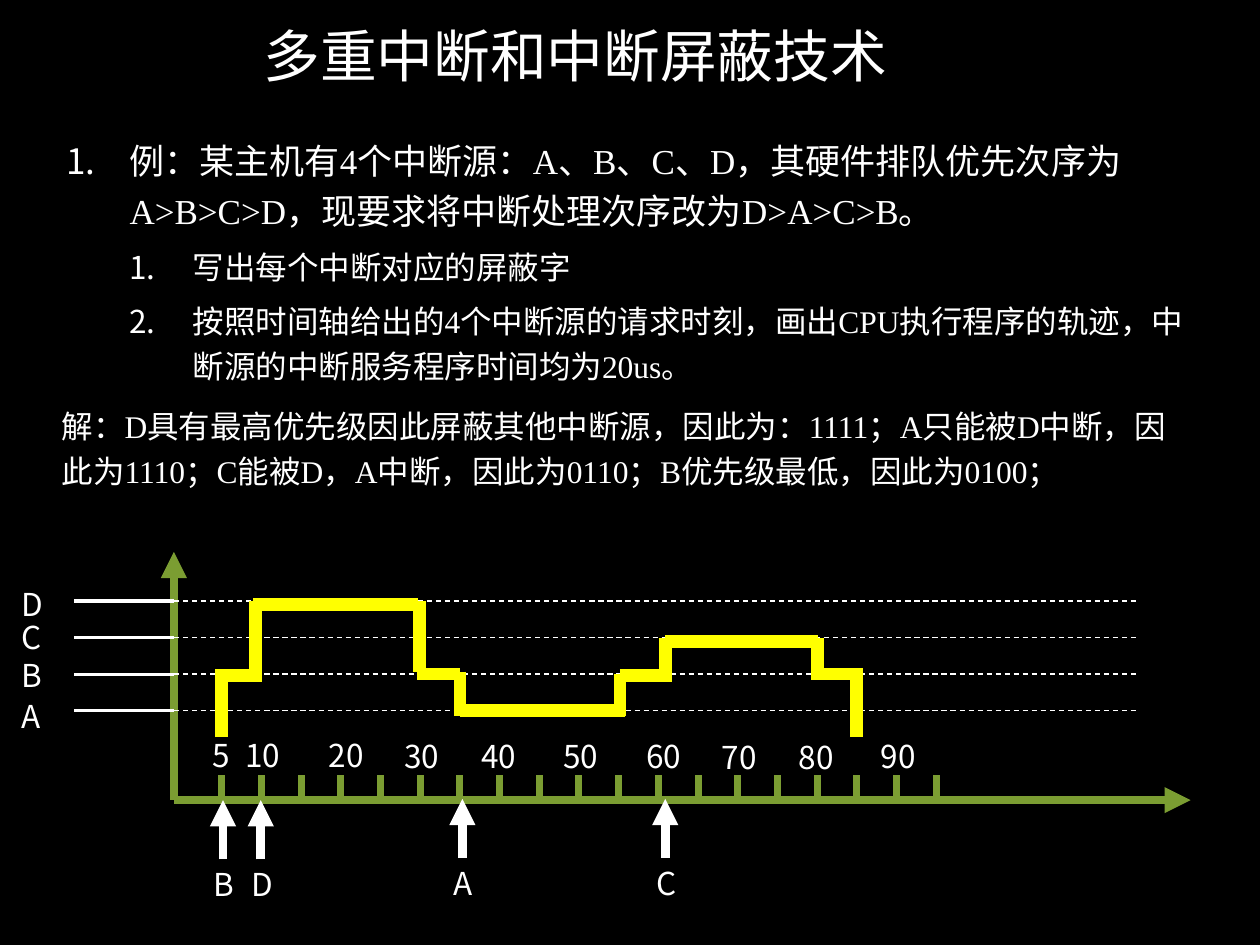
from typing import NamedTuple

from lxml import etree
from pptx import Presentation
from pptx.dml.color import RGBColor
from pptx.enum.dml import MSO_LINE
from pptx.enum.shapes import MSO_CONNECTOR
from pptx.enum.text import MSO_ANCHOR, MSO_AUTO_SIZE, PP_ALIGN
from pptx.oxml.ns import qn
from pptx.util import Inches, Pt

BLACK = RGBColor(0x00, 0x00, 0x00)
WHITE = RGBColor(0xFF, 0xFF, 0xFF)
GREEN = RGBColor(0x7B, 0x9D, 0x32)
YELLOW = RGBColor(0xFF, 0xFF, 0x00)
SANS = "Noto Sans CJK SC"
SERIF = "Times New Roman"
STRAIGHT = MSO_CONNECTOR.STRAIGHT
DASH = MSO_LINE.DASH
CENTER = PP_ALIGN.CENTER
MIDDLE = MSO_ANCHOR.MIDDLE
FIXED = MSO_AUTO_SIZE.NONE
GROW = MSO_AUTO_SIZE.SHAPE_TO_FIT_TEXT

ORIGIN_X, ORIGIN_Y = 1.38, 6.35
TICK_START, TICK_GAP, TICK_COUNT = 1.76, 0.315, 19


class Label(NamedTuple):
    text: str
    left: float
    top: float
    width: float = 0.49


class Request(NamedTuple):
    source: str
    x: float
    tip: float


class Level(NamedTuple):
    source: str
    y: float
    label_top: float


class Segment(NamedTuple):
    x1: float
    y1: float
    x2: float
    y2: float


class Item(NamedTuple):
    text: str
    level: int
    size: int
    before: int


TIMES = [
    Label("5", 1.59, 5.79, 0.43), Label("10", 1.85, 5.79), Label("20", 2.51, 5.79),
    Label("30", 3.11, 5.8), Label("40", 3.72, 5.8), Label("50", 4.37, 5.8),
    Label("60", 5.03, 5.8), Label("70", 5.63, 5.81), Label("80", 6.24, 5.81),
    Label("90", 6.89, 5.8),
]
REQUESTS = [
    Request("B", 1.77, 6.35), Request("D", 2.07, 6.35),
    Request("A", 3.67, 6.34), Request("C", 5.28, 6.34),
]
LEVELS = [
    Level("A", 5.64, 5.48), Level("B", 5.35, 5.16),
    Level("C", 5.06, 4.86), Level("D", 4.77, 4.59),
]
CPU_TRACE = [
    Segment(1.76, 5.85, 1.76, 5.35), Segment(1.71, 5.36, 2.03, 5.36),
    Segment(2.03, 5.41, 2.03, 4.77), Segment(2.01, 4.8, 3.32, 4.8),
    Segment(3.33, 4.77, 3.33, 5.33), Segment(3.31, 5.35, 3.65, 5.35),
    Segment(3.65, 5.33, 3.65, 5.68), Segment(3.65, 5.64, 4.96, 5.64),
    Segment(4.92, 5.68, 4.92, 5.35), Segment(4.92, 5.36, 5.28, 5.36),
    Segment(5.28, 5.41, 5.28, 5.06), Segment(5.28, 5.09, 6.49, 5.09),
    Segment(6.49, 5.06, 6.49, 5.34), Segment(6.44, 5.35, 6.85, 5.35),
    Segment(6.8, 5.35, 6.8, 5.85),
]
QUESTION = [
    Item("例：某主机有4个中断源：A、B、C、D，其硬件排队优先次序为A>B>C>D，"
         "现要求将中断处理次序改为D>A>C>B。", 0, 20, 10),
    Item("写出每个中断对应的屏蔽字", 1, 18, 5),
    Item("按照时间轴给出的4个中断源的请求时刻，画出CPU执行程序的轨迹，"
         "中断源的中断服务程序时间均为20us。", 1, 18, 5),
]
ANSWER = ("解：D具有最高优先级因此屏蔽其他中断源，因此为：1111；A只能被D中断，因此为1110；"
          "C能被D，A中断，因此为0110；B优先级最低，因此为0100；")


def add_text(paragraph, text: str, size: float, font: str) -> None:
    run = paragraph.add_run()
    run.text = text
    run.font.size = Pt(size)
    run.font.name = font
    run.font.color.rgb = WHITE
    latin = run.font._element.find(qn("a:latin"))
    east_asian = etree.Element(qn("a:ea"), typeface=SANS)
    latin.addnext(east_asian)


def add_frame(shapes, left: float, top: float, width: float, height: float):
    box = shapes.add_textbox(Inches(left), Inches(top), Inches(width), Inches(height))
    box.text_frame.word_wrap = True
    return box.text_frame


def add_label(shapes, label: Label) -> None:
    frame = add_frame(shapes, label.left, label.top, label.width, 0.4)
    frame.auto_size = GROW
    add_text(frame.paragraphs[0], label.text, 18, SANS)


def add_line(shapes, segment: Segment, color: RGBColor, weight: float,
             arrow: bool = False, dashed: bool = False) -> None:
    connector = shapes.add_connector(STRAIGHT, *(Inches(value) for value in segment))
    connector.line.color.rgb = color
    connector.line.width = Pt(weight)
    if dashed:
        connector.line.dash_style = DASH
    if arrow:
        etree.SubElement(connector.line._get_or_add_ln(), qn("a:tailEnd"), type="triangle")
    etree.SubElement(connector._element.spPr, qn("a:effectLst"))


def space(paragraph, before: int) -> None:
    paragraph.line_spacing = 1.2
    paragraph.space_before = Pt(before)


def number(paragraph, level: int) -> None:
    paragraph.level = level
    properties = paragraph._p.get_or_add_pPr()
    properties.set("marL", str(Inches(0.5 * (level + 1))))
    properties.set("indent", str(-Inches(0.5)))
    color = etree.SubElement(properties, qn("a:buClr"))
    etree.SubElement(color, qn("a:srgbClr"), val=str(WHITE))
    etree.SubElement(properties, qn("a:buFont"), typeface=SANS)
    etree.SubElement(properties, qn("a:buAutoNum"), type="arabicPeriod")


def add_title(slide) -> None:
    title = slide.shapes.title
    title.left, title.top = Inches(0.43), Inches(0.21)
    title.width, title.height = Inches(8.27), Inches(0.55)
    frame = title.text_frame
    frame.auto_size = FIXED
    frame.vertical_anchor = MIDDLE
    heading = frame.paragraphs[0]
    heading.alignment = CENTER
    heading.line_spacing = 0.8
    add_text(heading, "多重中断和中断屏蔽技术", 32.4, SERIF)


def add_body(shapes) -> None:
    question = add_frame(shapes, 0.43, 0.99, 9.06, 2.13)
    for index, item in enumerate(QUESTION):
        paragraph = question.add_paragraph() if index else question.paragraphs[0]
        space(paragraph, item.before)
        number(paragraph, item.level)
        add_text(paragraph, item.text, item.size, SERIF)
    answer = add_frame(shapes, 0.39, 3.12, 9.06, 0.94).paragraphs[0]
    space(answer, 10)
    add_text(answer, ANSWER, 18, SERIF)


def add_time_axis(shapes) -> None:
    for end_x, end_y in ((ORIGIN_X, 4.38), (9.45, ORIGIN_Y)):
        add_line(shapes, Segment(ORIGIN_X, ORIGIN_Y, end_x, end_y), GREEN, 5, arrow=True)
    for index in range(TICK_COUNT):
        x = TICK_START + TICK_GAP * index
        add_line(shapes, Segment(x, ORIGIN_Y, x, ORIGIN_Y - 0.2), GREEN, 4)
    for time in TIMES:
        add_label(shapes, time)
    for source, x, tip in REQUESTS:
        base = tip + 0.47
        add_line(shapes, Segment(x, base, x, tip), WHITE, 5, arrow=True)
        add_label(shapes, Label(source, x - 0.17, base, 0.43))


def add_levels(shapes) -> None:
    for source, y, label_top in LEVELS:
        add_line(shapes, Segment(0.59, y, ORIGIN_X, y), WHITE, 1.75)
        add_line(shapes, Segment(1.31, y, 9.02, y), WHITE, 0.75, dashed=True)
        add_label(shapes, Label(source, 0.07, label_top, 0.43))


presentation = Presentation()
presentation.slide_width, presentation.slide_height = Inches(10), Inches(7.5)
slide = presentation.slides.add_slide(presentation.slide_layouts[5])
slide.background.fill.solid()
slide.background.fill.fore_color.rgb = BLACK
add_title(slide)
add_body(slide.shapes)
add_time_axis(slide.shapes.add_group_shape().shapes)
add_levels(slide.shapes.add_group_shape().shapes)
for step in CPU_TRACE:
    add_line(slide.shapes, step, YELLOW, 7.25)
presentation.save("out.pptx")
